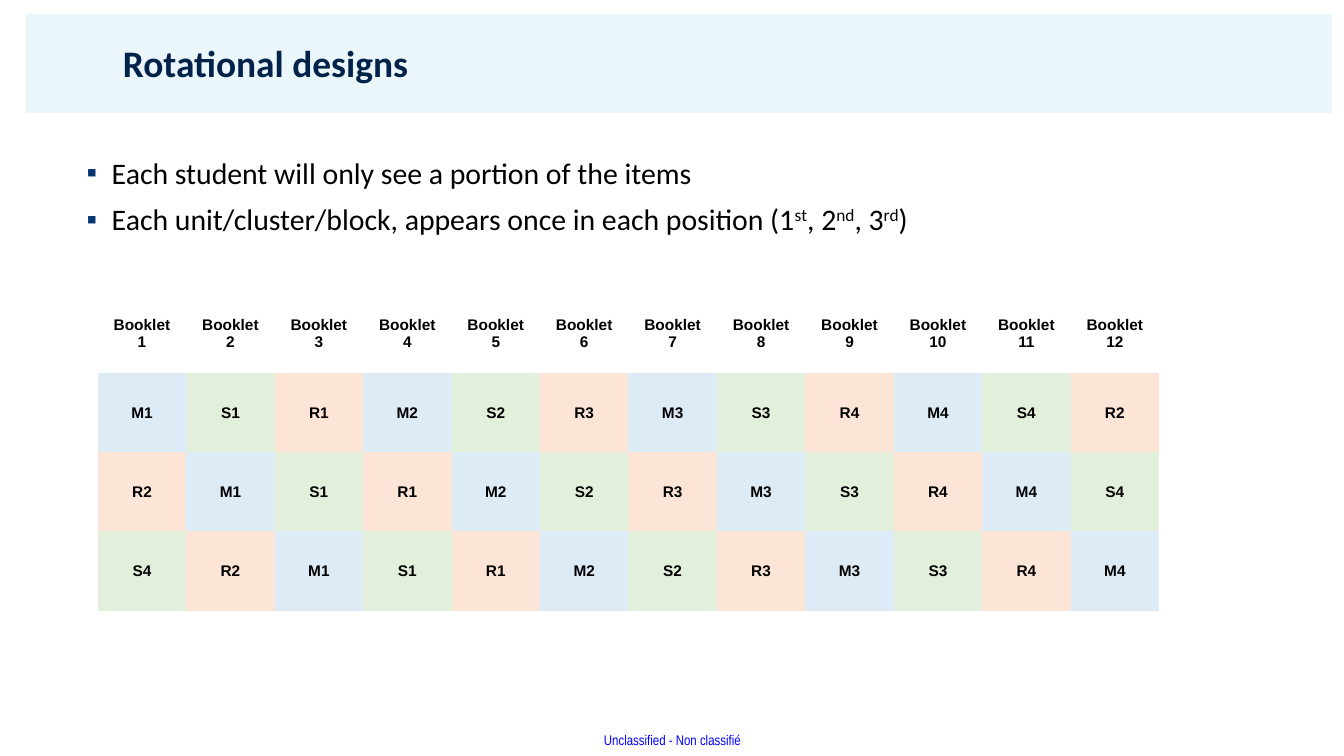
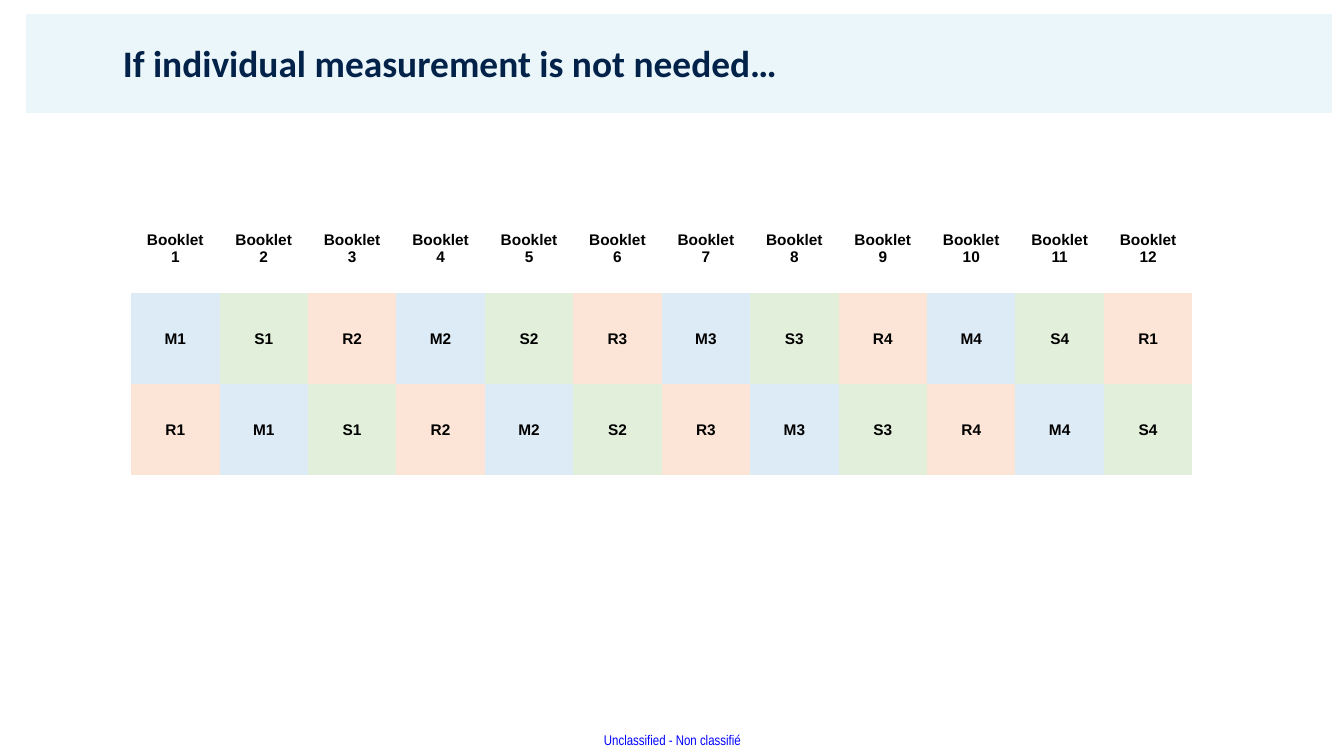
"""Build two slides on rotational booklet designs."""
from lxml import etree
from pptx import Presentation
from pptx.dml.color import RGBColor
from pptx.enum.shapes import MSO_SHAPE
from pptx.enum.text import MSO_ANCHOR, PP_ALIGN
from pptx.oxml.ns import qn
from pptx.util import Inches, Pt

BAND, BULLET = "6FC5D5", "033673"
TITLE = {"name": "Calibri", "size": Pt(26.7), "bold": True, "color": "022249"}
BODY = {"name": "Calibri", "size": Pt(21.3), "color": "000000"}
CELL = {"name": "Arial", "size": Pt(11), "bold": True, "color": "000000"}
FOOTER = {"name": "Arial Narrow", "size": Pt(10), "color": "0000FF"}
CLUSTER_FILLS = {"M": "DDEBF7", "S": "E2EFDA", "R": "FCE4D6"}
NO_STYLE = "{2D5ABB26-0587-4C30-8999-92F81FD0307C}"

SLIDES = [
    {
        "title": "Rotational designs",
        "bullets": [
            ["Each student will only see a portion of the items"],
            ["Each unit/cluster/block, appears once in each position (1",
             "st", ", 2", "nd", ", 3", "rd", ")"],
        ],
        "clusters": "M1 S1 R1 M2 S2 R3 M3 S3 R4 M4 S4 R2".split(),
        "positions": 3,
        "table": (0.97, 2.91, 10.53, 3.15),
    },
    {
        "title": "If individual measurement is not needed…",
        "bullets": [],
        "clusters": "M1 S1 R2 M2 S2 R3 M3 S3 R4 M4 S4 R1".split(),
        "positions": 2,
        "table": (1.3, 2.01, 10.53, 2.7),
    },
]


def style(font, values):
    for key, value in values.items():
        if key == "color":
            font.color.rgb = RGBColor.from_string(value)
        else:
            setattr(font, key, value)


def add_box(s, box, anchor=MSO_ANCHOR.MIDDLE):
    tf = s.shapes.add_textbox(*map(Inches, box)).text_frame
    tf.word_wrap = True
    tf.vertical_anchor = anchor
    return tf


prs = Presentation()
prs.slide_width, prs.slide_height = Inches(13.33), Inches(7.5)

for content in SLIDES:
    s = prs.slides.add_slide(prs.slide_layouts[6])

    band = s.shapes.add_shape(MSO_SHAPE.RECTANGLE, *map(Inches, (0.26, 0.14, 12.95, 0.98)))
    band.shadow.inherit = False
    band.line.fill.background()
    band.fill.solid()
    band.fill.fore_color.rgb = RGBColor.from_string(BAND)
    color = band.fill._xPr.find(".//" + qn("a:srgbClr"))
    etree.SubElement(color, qn("a:alpha"), val="14000")

    tf = add_box(s, (5.99, 7.26, 1.39, 0.17), MSO_ANCHOR.TOP)
    tf.word_wrap = False
    for side in ("left", "top", "right", "bottom"):
        setattr(tf, f"margin_{side}", 0)
    r = tf.paragraphs[0].add_run()
    r.text = "Unclassified - Non classifié"
    style(r.font, FOOTER)

    p = add_box(s, (1.12, 0.18, 11.45, 0.94)).paragraphs[0]
    p.line_spacing = 0.9
    r = p.add_run()
    r.text = content["title"]
    style(r.font, TITLE)

    if content["bullets"]:
        tf = add_box(s, (0.76, 1.44, 11.81, 1.04))
    for i, parts in enumerate(content["bullets"]):
        p = tf.add_paragraph() if i else tf.paragraphs[0]
        pPr = p._p.get_or_add_pPr()
        pPr.set("marL", str(Inches(0.25)))
        pPr.set("indent", str(-Inches(0.25)))
        etree.SubElement(etree.SubElement(pPr, qn("a:buClr")), qn("a:srgbClr"), val=BULLET)
        etree.SubElement(pPr, qn("a:buFont"), typeface="Arial")
        etree.SubElement(pPr, qn("a:buChar"), char="▪")
        p.line_spacing = 0.9
        if i:
            p.space_before = Pt(10)
        for j, text in enumerate(parts):
            r = p.add_run()
            r.text = text
            style(r.font, BODY)
            if j % 2:
                r.font._element.set("baseline", "30000")

    clusters = content["clusters"]
    rows = [[f"Booklet\n{n}" for n in range(1, len(clusters) + 1)]]
    for shift in range(content["positions"]):
        rows.append(clusters[len(clusters) - shift:] + clusters[:len(clusters) - shift])

    table = s.shapes.add_table(len(rows), len(clusters), *map(Inches, content["table"])).table
    table.horz_banding = False
    table._tbl.tblPr.find(qn("a:tableStyleId")).text = NO_STYLE
    for i, row in enumerate(rows):
        for j, text in enumerate(row):
            cell = table.cell(i, j)
            cell.text = text
            cell.vertical_anchor = MSO_ANCHOR.MIDDLE
            cell.margin_left = cell.margin_top = cell.margin_right = Inches(0.01)
            cell.margin_bottom = 0
            if i:
                cell.fill.solid()
                cell.fill.fore_color.rgb = RGBColor.from_string(CLUSTER_FILLS[text[0]])
            else:
                cell.fill.background()
            for p in cell.text_frame.paragraphs:
                p.alignment = PP_ALIGN.CENTER
                style(p.runs[0].font, CELL)

prs.save("out.pptx")
